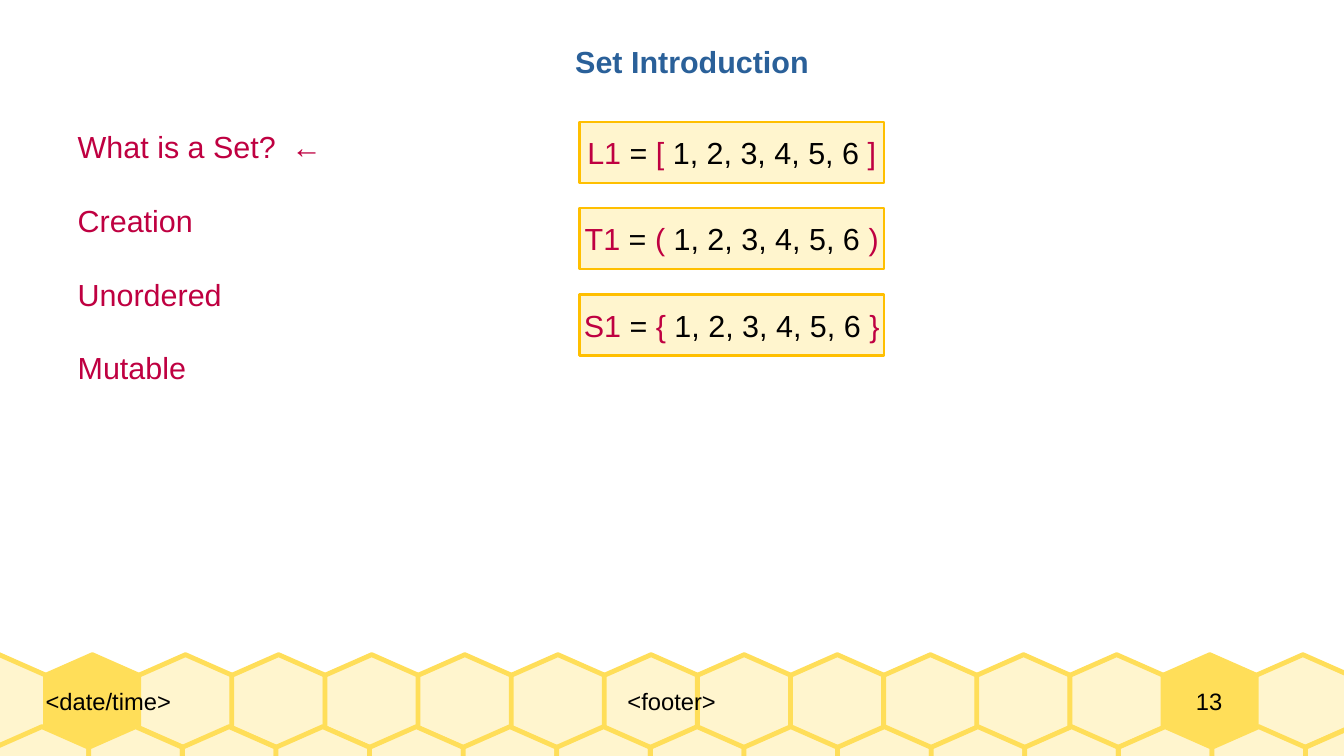
from dataclasses import dataclass

from lxml import etree
from pptx import Presentation
from pptx.dml.color import RGBColor
from pptx.enum.shapes import MSO_SHAPE
from pptx.enum.text import MSO_ANCHOR, MSO_AUTO_SIZE, PP_ALIGN
from pptx.oxml.ns import qn
from pptx.util import Cm, Pt

RECTANGLE = MSO_SHAPE.RECTANGLE
TOP, MIDDLE = MSO_ANCHOR.TOP, MSO_ANCHOR.MIDDLE
LEFT, CENTER = PP_ALIGN.LEFT, PP_ALIGN.CENTER
NO_AUTOFIT = MSO_AUTO_SIZE.NONE
TITLE_ONLY = 5


@dataclass(frozen=True)
class Theme:
    font: str = "Arial"
    body: Pt = Pt(18)
    small: Pt = Pt(14)
    heading: RGBColor = RGBColor(0x2A, 0x60, 0x99)
    accent: RGBColor = RGBColor(0xBF, 0x00, 0x41)
    ink: RGBColor = RGBColor(0x00, 0x00, 0x00)
    cream: RGBColor = RGBColor(0xFF, 0xF5, 0xCE)
    honey: RGBColor = RGBColor(0xFF, 0xDE, 0x59)
    amber: RGBColor = RGBColor(0xFF, 0xBF, 0x00)


THEME = Theme()


def add_text(paragraph, text, size=THEME.body, color=THEME.ink, bold=False, align=LEFT):
    paragraph.alignment = align
    run = paragraph.add_run()
    run.text = text
    run.font.name = THEME.font
    run.font.size = size
    run.font.bold = bold
    run.font.color.rgb = color


def style_shape(shape, fill, line, width):
    shape.shadow.inherit = False
    shape.fill.solid()
    shape.fill.fore_color.rgb = fill
    shape.line.color.rgb = line
    shape.line.width = width


def add_hexagon(slide, left, top, size, fill):
    shoulder = Cm(0.43)
    middle, right, bottom = left + size // 2, left + size, top + size
    outline = slide.shapes.build_freeform(middle, top)
    outline.add_line_segments([
        (left, top + shoulder), (left, bottom - shoulder), (middle, bottom),
        (right, bottom - shoulder), (right, top + shoulder),
    ])
    style_shape(outline.convert_to_shape(), fill, THEME.honey, Pt(2.83))


def add_honeycomb(slide, top, columns=15, filled=(1, 13)):
    """Two staggered rows of cells; the filled columns are in the upper row."""
    size = Cm(1.95)
    rows = [(Cm(-0.99), top, Cm(1.94), filled),
            (Cm(-0.1), top + Cm(1.5), Cm(1.95), ())]
    for left, row_top, pitch, dark in rows:
        for column in range(columns):
            fill = THEME.honey if column in dark else THEME.cream
            add_hexagon(slide, left + column * pitch, row_top, size, fill)


def add_footer(slide, top, height):
    fields = [("<date/time>", Cm(0.95), Cm(6.68), LEFT),
              ("<footer>", Cm(7.63), Cm(12.73), CENTER),
              ("13", Cm(23.6), Cm(3.18), CENTER)]
    for text, left, width, align in fields:
        frame = slide.shapes.add_textbox(left, top, width, height).text_frame
        frame.margin_left = frame.margin_right = 0
        frame.margin_top = frame.margin_bottom = 0
        frame.vertical_anchor = MIDDLE
        frame.word_wrap = True
        add_text(frame.paragraphs[0], text, size=THEME.small, align=align)


def add_title(slide, left, top, width, height):
    title = slide.shapes.title
    title.left, title.top, title.width, title.height = left, top, width, height
    frame = title.text_frame
    frame.auto_size = NO_AUTOFIT
    frame.word_wrap = False
    frame.vertical_anchor = TOP
    add_text(frame.paragraphs[0], "Set Introduction", color=THEME.heading, bold=True)


def add_tab_stop(paragraph, position):
    stops = etree.SubElement(paragraph._p.get_or_add_pPr(), qn("a:tabLst"))
    etree.SubElement(stops, qn("a:tab"), pos=str(position), algn="l")


def add_topics(slide, left, top, width, height):
    frame = slide.shapes.add_textbox(left, top, width, height).text_frame
    frame.word_wrap = True
    topics = ["What is a Set?\t←", "Creation", "Unordered", "Mutable"]
    for index, topic in enumerate(topics):
        paragraph = frame.add_paragraph() if index else frame.paragraphs[0]
        if index:
            paragraph.space_before = Pt(22)
        if "\t" in topic:
            add_tab_stop(paragraph, Cm(4.45))
        add_text(paragraph, topic, color=THEME.accent)


def add_examples(slide, left, top, width, height, pitch):
    """One box for each collection, with its name and brackets accented."""
    collections = [("L1", "[", "]"), ("T1", "(", ")"), ("S1", "{", "}")]
    for index, (name, opening, closing) in enumerate(collections):
        example = slide.shapes.add_shape(RECTANGLE, left, top + index * pitch, width, height)
        style_shape(example, THEME.cream, THEME.amber, Pt(1.42))
        frame = example.text_frame
        frame.word_wrap = False
        frame.vertical_anchor = MIDDLE
        pieces = [name, " = ", opening, " 1, 2, 3, 4, 5, 6 ", closing]
        for position, piece in enumerate(pieces):
            color = THEME.ink if position % 2 else THEME.accent
            add_text(frame.paragraphs[0], piece, color=color, align=CENTER)


def build_set_slide(deck):
    slide = deck.slides.add_slide(deck.slide_layouts[TITLE_ONLY])
    band_top = Cm(13.64)
    add_honeycomb(slide, band_top)
    add_footer(slide, band_top, Cm(1.95))
    add_title(slide, Cm(11.73), Cm(0.76), Cm(5.38), Cm(0.97))
    add_topics(slide, Cm(1.37), Cm(2.54), Cm(5.8), Cm(5.23))
    add_examples(slide, Cm(12.07), Cm(2.54), Cm(6.35), Cm(1.27), pitch=Cm(1.8))


def main():
    deck = Presentation()
    deck.slide_width, deck.slide_height = Cm(28), Cm(15.75)
    build_set_slide(deck)
    deck.save("out.pptx")


if __name__ == "__main__":
    main()
